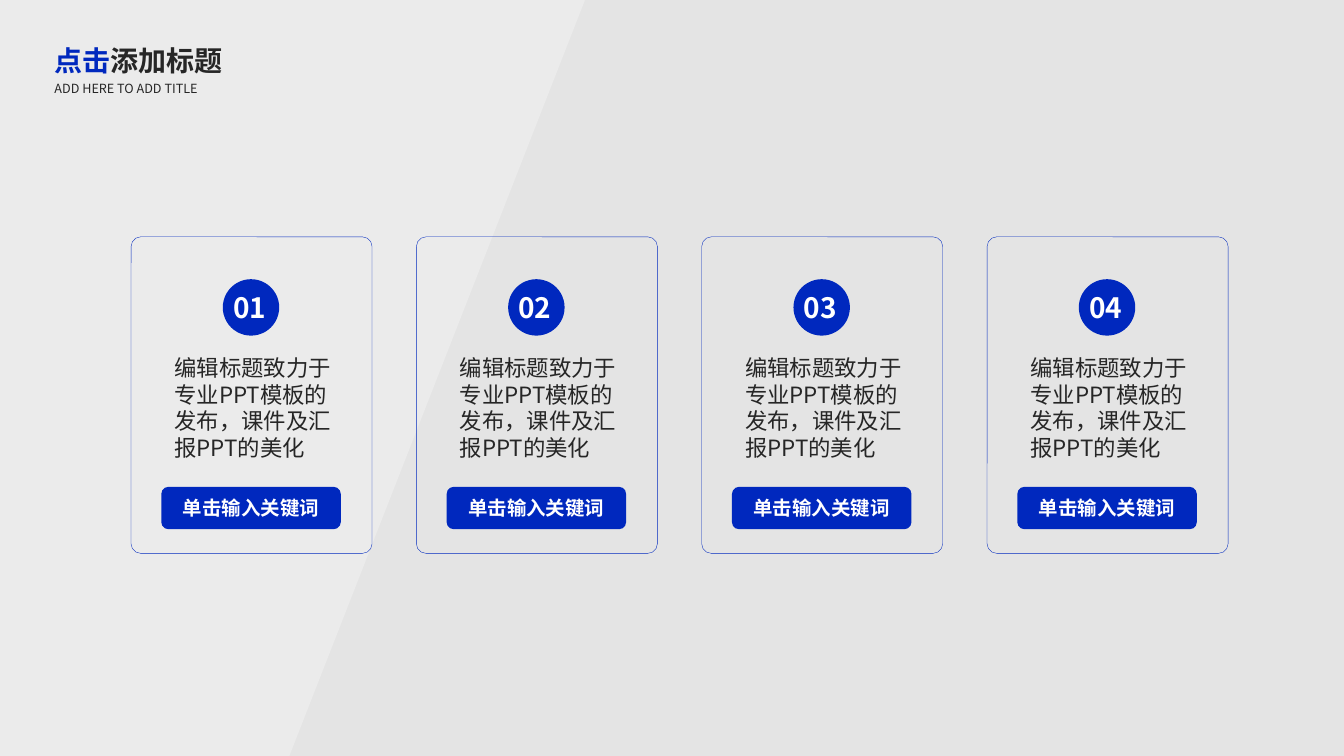
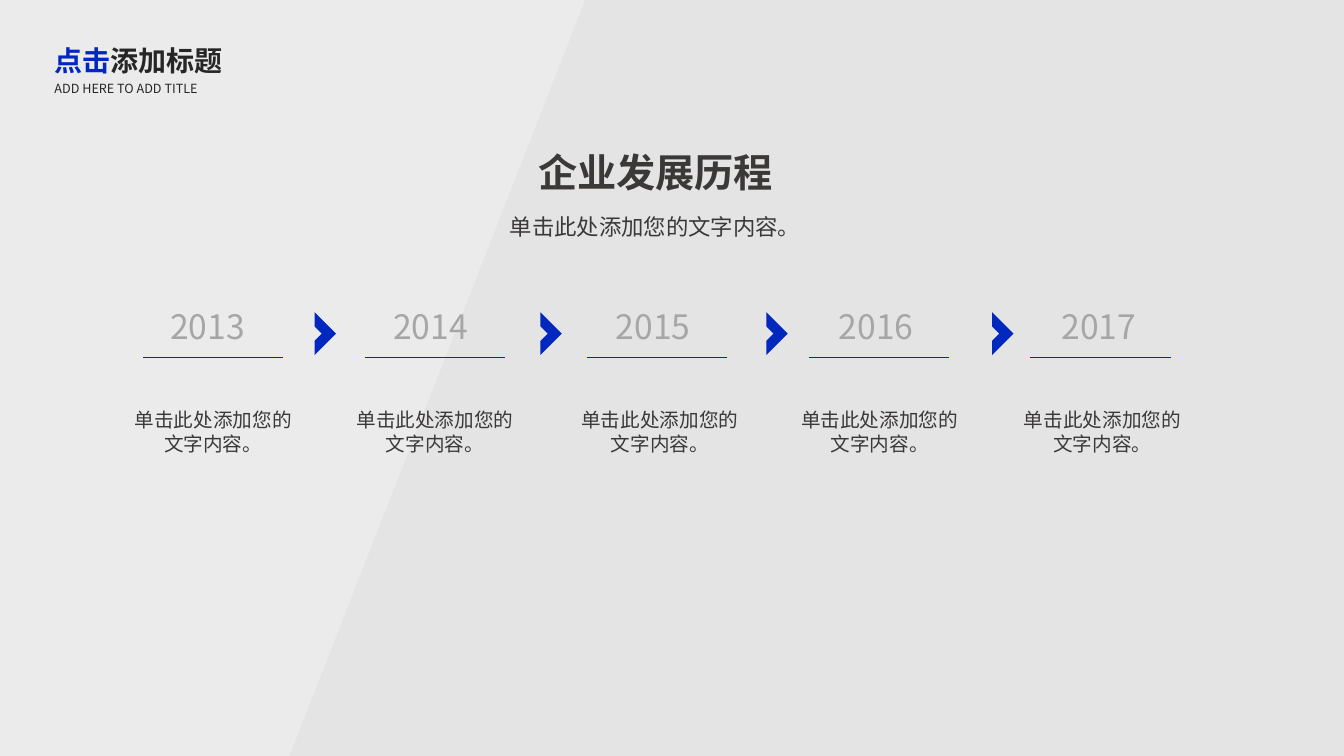
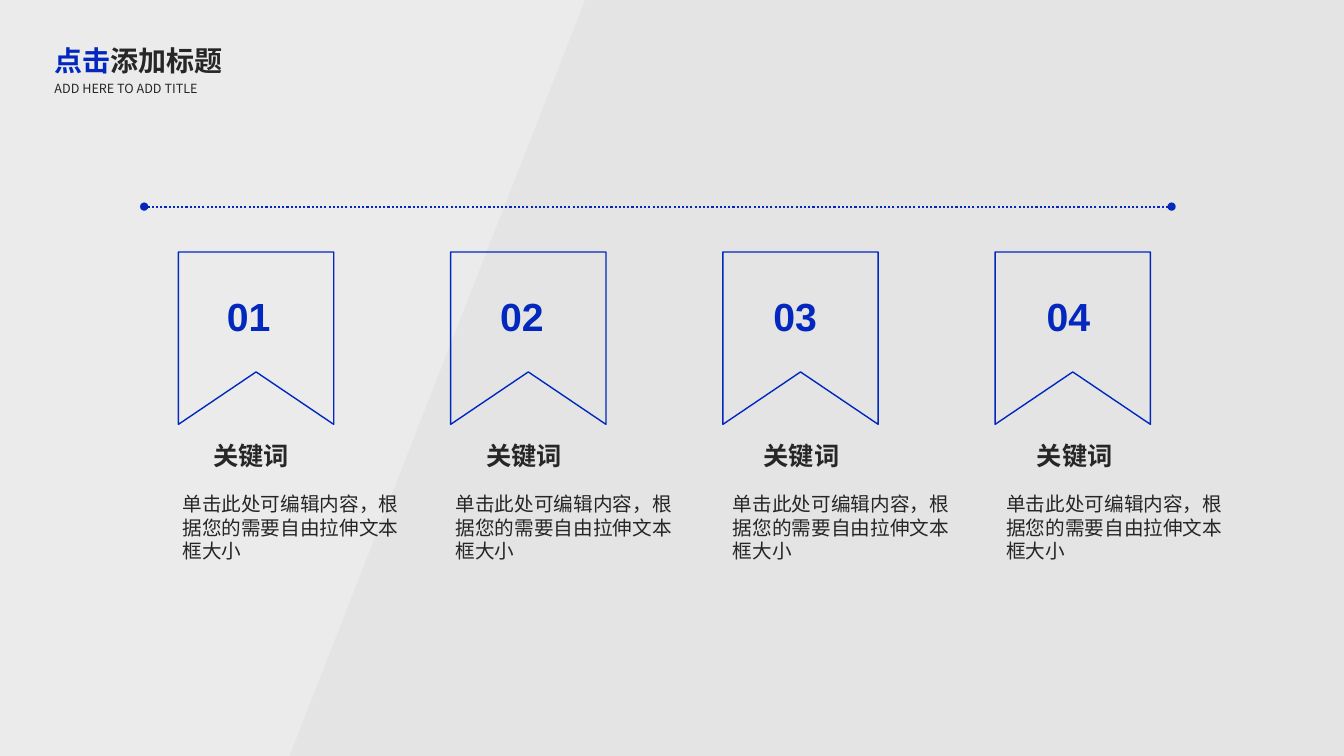
from lxml.etree import SubElement as sub
from pptx import Presentation
from pptx.dml.color import RGBColor as RGB
from pptx.enum.dml import MSO_LINE as DASH
from pptx.enum.shapes import MSO_CONNECTOR as CON, MSO_SHAPE as KIND
from pptx.enum.text import MSO_ANCHOR as ANC, MSO_AUTO_SIZE as AUTO, PP_ALIGN as ALIGN
from pptx.oxml.ns import qn
from pptx.util import Inches, Pt

HUE = {
    "back": "E4E4E4",
    "slant": "F1F1F1",
    "blue": "0028BE",
    "ink": "262626",
    "brown": "3B3838",
    "gray": "A6A6A6",
    "white": "FFFFFF",
}
FACE = "Noto Sans CJK SC"
LEFT, MID = ALIGN.LEFT, ALIGN.CENTER


def write(box, *parts, size, hue="ink", bold=False, face=FACE, align=LEFT,
          anchor=ANC.TOP, pad=(0.1, 0.05, 0.1, 0.05)):
    frame = box.text_frame
    frame.word_wrap = True
    frame.auto_size = AUTO.NONE
    frame.vertical_anchor = anchor
    (frame.margin_left, frame.margin_top,
     frame.margin_right, frame.margin_bottom) = map(Inches, pad)
    para = frame.paragraphs[0]
    para.alignment = align
    para.space_before = Pt(0)
    for part in parts:
        text, tint = part if isinstance(part, tuple) else (part, hue)
        run = para.add_run()
        run.text = text
        run.font.size = Pt(size)
        run.font.bold = bold
        run.font.name = face
        run.font.color.rgb = RGB.from_string(HUE[tint])
        sub(run._r.get_or_add_rPr(), qn("a:ea"), typeface=FACE)


def paint(shape, fill=None, line=None, width=1):
    if fill:
        shape.fill.solid()
        shape.fill.fore_color.rgb = RGB.from_string(HUE[fill])
    else:
        shape.fill.background()
    if line:
        shape.line.color.rgb = RGB.from_string(HUE[line])
        shape.line.width = Pt(width)
    else:
        shape.line.fill.background()
    shape.shadow.inherit = False


deck = Presentation()
deck.slide_width, deck.slide_height = Inches(13.33), Inches(7.5)

back = deck.slide_master.background.fill
back.solid()
back.fore_color.rgb = RGB.from_string(HUE["back"])

base = deck.slide_layouts[1]
spots = [(0.44, 0.38, 2.01, 0.46), (0.44, 0.75, 1.85, 0.25)]
for hold, spot in zip(base.placeholders, spots):
    hold.left, hold.top, hold.width, hold.height = map(Inches, spot)

pages = [deck.slides.add_slide(base) for _ in range(3)]
for page in pages:
    head, note = page.placeholders
    write(head, ("点击", "blue"), "添加标题", size=20, bold=True)
    props = note.text_frame.paragraphs[0]._p.get_or_add_pPr()
    props.set("marL", "0")
    props.set("indent", "0")
    sub(props, qn("a:buNone"))
    write(note, "ADD HERE TO ADD TITLE", size=9)

cards, years, flags = [page.shapes for page in pages]

pen = cards.build_freeform(Inches(5.81), Inches(-0.02), 1)
edge = [(2.87, 7.5), (-0.01, 7.5), (-0.01, -0.02)]
pen.add_line_segments([(Inches(x), Inches(y)) for x, y in edge])
slant = pen.convert_to_shape()
paint(slant, "slant")
sub(slant.element.spPr.find(".//" + qn("a:srgbClr")), qn("a:alpha"), val="54000")
base.shapes.element.insert(2, slant.element)

for i in range(4):
    x = 1.3 + 2.83 * i
    card = cards.add_shape(KIND.ROUNDED_RECTANGLE, Inches(x), Inches(2.35),
                           Inches(2.39), Inches(3.14))
    card.adjustments[0] = 0.04
    paint(card, line="blue", width=0.25)
    key = cards.add_shape(KIND.ROUNDED_RECTANGLE, Inches(x + 0.3), Inches(4.83),
                          Inches(1.78), Inches(0.42))
    paint(key, "blue")
    write(key, "单击输入关键词", size=13.9, hue="white", bold=True,
          align=MID, anchor=ANC.MIDDLE)
    body = cards.add_textbox(Inches(x + 0.3), Inches(3.44), Inches(1.91), Inches(1.05))
    write(body, "编辑标题致力于专业PPT模板的发布，课件及汇报PPT的美化", size=16,
          pad=(0.13, 0.07, 0.13, 0.07))
    disc = cards.add_shape(KIND.OVAL, Inches(x + 0.91), Inches(2.77),
                           Inches(0.56), Inches(0.56))
    paint(disc, "blue")
    write(disc, f"0{i + 1}", size=20, hue="white", bold=True,
          anchor=ANC.MIDDLE, pad=(0.02, 0, 0, 0))

name = years.add_textbox(Inches(5.24), Inches(1.42), Inches(2.54), Inches(0.57))
write(name, "企业发展历程", size=28, hue="brown", bold=True)
lead = years.add_textbox(Inches(4.96), Inches(2.07), Inches(3.3), Inches(0.37))
write(lead, "单击此处添加您的文字内容。", size=16, hue="brown")

for i, x in enumerate((1.21, 3.41, 5.64, 7.82, 10.03)):
    year = years.add_textbox(Inches(1.59 + 2.21 * i), Inches(2.99),
                             Inches(1.01), Inches(0.53))
    write(year, str(2013 + i), size=24, hue="gray")
    start = 1.42 + 2.2 * i
    rule = years.add_connector(CON.STRAIGHT, Inches(start), Inches(3.55),
                               Inches(start + 1.39), Inches(3.55))
    rule.line.color.rgb = RGB.from_string(HUE["blue"])
    rule.line.width = Pt(0.5)
    sub(rule.element.spPr, qn("a:effectLst"))
    body = years.add_textbox(Inches(x), Inches(4), Inches(1.81), Inches(0.57))
    write(body, "单击此处添加您的文字内容。", size=14, hue="brown", align=MID)

for i in range(4):
    mark = years.add_shape(KIND.HALF_FRAME, Inches(2.97 + 2.24 * i), Inches(3.16),
                           Inches(0.3), Inches(0.3))
    mark.rotation = 135
    paint(mark, "blue")

rail = flags.add_connector(CON.STRAIGHT, Inches(11.62), Inches(2.05),
                           Inches(1.43), Inches(2.05))
rail.line.color.rgb = RGB.from_string(HUE["blue"])
rail.line.width = Pt(1.5)
rail.line.dash_style = DASH.ROUND_DOT
for tip in ("a:headEnd", "a:tailEnd"):
    sub(rail.element.spPr.find(qn("a:ln")), qn(tip), type="oval")
sub(rail.element.spPr, qn("a:effectLst"))

for i, x in enumerate((1.21, 3.92, 6.67, 9.38)):
    side = 1.77 + 2.7 * i
    pen = flags.build_freeform(Inches(side), Inches(2.5), 1)
    edge = [(1.54, 2.5), (1.54, 4.21), (0.77, 3.69), (0, 4.21)]
    pen.add_line_segments([(Inches(side + dx), Inches(y)) for dx, y in edge])
    paint(pen.convert_to_shape(), line="blue")
    num = flags.add_textbox(Inches(2.25 + 2.71 * i), Inches(2.9),
                            Inches(0.6), Inches(0.47))
    write(num, f"0{i + 1}", size=28, hue="blue", bold=True, face="Arial",
          anchor=ANC.MIDDLE, pad=(0, 0, 0, 0))
    word = flags.add_textbox(Inches(x), Inches(4.37), Inches(2.56), Inches(0.3))
    write(word, "关键词", size=18, bold=True, face="Arial", align=MID, pad=(0, 0, 0, 0))
    body = flags.add_textbox(Inches(x + 0.6), Inches(4.88), Inches(2.27), Inches(0.71))
    write(body, "单击此处可编辑内容，根据您的需要自由拉伸文本框大小", size=14,
          face="Arial", pad=(0, 0, 0, 0))

deck.save("out.pptx")
